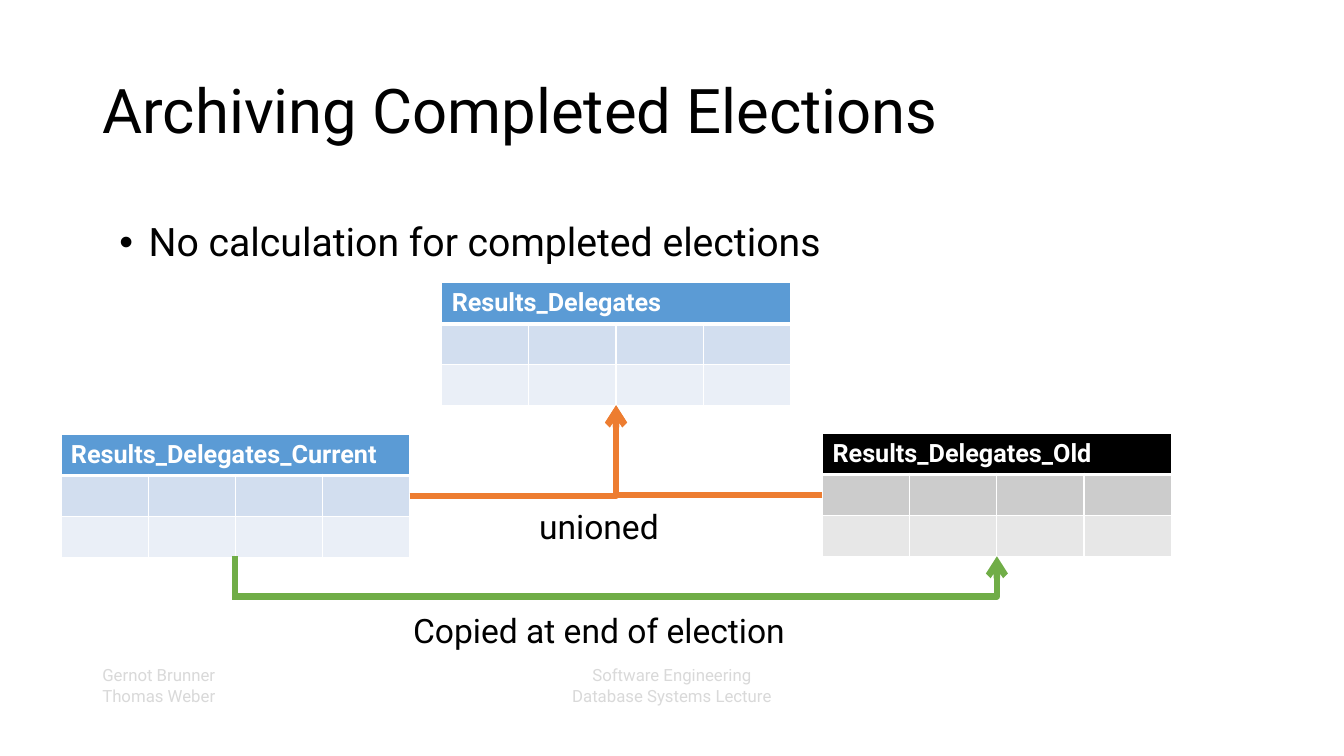
from pptx import Presentation
from pptx.dml.color import RGBColor
from pptx.enum.shapes import MSO_CONNECTOR as Link
from pptx.enum.text import MSO_ANCHOR as Anchor, MSO_AUTO_SIZE as Auto, PP_ALIGN as Align
from pptx.oxml.ns import qn
from pptx.util import Pt
from lxml.etree import SubElement as sub

# Content
TITLE = "Archiving Completed Elections"
POINT = "No calculation for completed elections"
FOOT = [
    (66, 216, Align.LEFT, ["Gernot Brunner", "Thomas Weber"]),
    (318, 324, Align.CENTER, ["Software Engineering", "Database Systems Lecture"]),
]
TABLES = [  # name, left, top, tone
    ("Results_Delegates_Current", 43.5, 310.5, "blue"),
    ("Results_Delegates_Old", 587.5, 309.8, "gray"),
    ("Results_Delegates", 315.5, 202, "blue"),
]
LABELS = [  # text, left, top, width
    ("unioned", 378, 361, 150),
    ("Copied at end of election", 288, 435, 335),
]


# Theme
class Theme:
    font = "Roboto"
    ink, white, pale = "000000", "FFFFFF", "D9D9D9"
    union, move = "ED7D31", "70AD47"
    tones = {"blue": ("5B9BD5", "D2DEEF", "EAEFF7"),
             "gray": ("000000", "CCCCCC", "E7E7E7")}
    title, body, label, head, foot = 44, 28, 24, 18, 12
    line, thin, thick = 4.5, 1, 3


COLS, ROWS, COL, ROW = 4, 3, 62.3, 29.2
WIDE, HIGH = COLS * COL, ROWS * ROW

deck = Presentation()
deck.slide_width, deck.slide_height = Pt(960), Pt(540)
slide = deck.slides.add_slide(deck.slide_layouts[1])
shapes = slide.shapes


def rgb(code):
    return RGBColor.from_string(code)


def write(frame, lines, size, color=Theme.ink, bold=False, align=Align.LEFT,
          gap=None, before=0, anchor=Anchor.TOP):
    """Fill a text frame, one paragraph for each line."""
    frame.word_wrap, frame.auto_size = True, Auto.NONE
    frame.vertical_anchor = anchor
    for i, line in enumerate(lines):
        para = frame.add_paragraph() if i else frame.paragraphs[0]
        para.alignment, para.line_spacing = align, gap
        para.space_before = Pt(before)
        run = para.add_run()
        run.text = line
        font = run.font
        font.name, font.size, font.bold = Theme.font, Pt(size), bold
        font.color.rgb = rgb(color)


def place(shape, left, top, width, height):
    shape.left, shape.top = Pt(left), Pt(top)
    shape.width, shape.height = Pt(width), Pt(height)


def paint(cell, color, base):
    """Set a cell's fill and white borders."""
    props = cell._tc.get_or_add_tcPr()
    for side in ("lnL", "lnR", "lnT", "lnB"):
        size = base if side == "lnB" else Theme.thin
        edge = sub(props, qn("a:" + side), w=str(Pt(size)))
        sub(sub(edge, qn("a:solidFill")), qn("a:srgbClr"), val=Theme.white)
    cell.fill.solid()
    cell.fill.fore_color.rgb = rgb(color)


def grid(name, left, top, tone):
    """Draw a table with one merged heading."""
    table = shapes.add_table(ROWS, COLS, Pt(left), Pt(top), Pt(WIDE), Pt(HIGH)).table
    for col in table.columns:
        col.width = Pt(COL)
    for r, color in enumerate(Theme.tones[tone]):
        table.rows[r].height = Pt(ROW)
        for cell in table.rows[r].cells:
            paint(cell, color, Theme.thin if r else Theme.thick)
    head = table.cell(0, 0)
    head.merge(table.cell(0, COLS - 1))
    write(head.text_frame, [name], Theme.head, Theme.white, bold=True)


def link(start, end, color, bent=True):
    """Draw a plain line, or a one-corner arrow."""
    kind = Link.ELBOW if bent else Link.STRAIGHT
    wire = shapes.add_connector(kind, *map(Pt, start + end))
    wire.line.color.rgb, wire.line.width = rgb(color), Pt(Theme.line)
    props = wire._element.spPr
    if bent:
        props.find(qn("a:prstGeom")).set("prst", "bentConnector2")
        sub(wire.line._get_or_add_ln(), qn("a:tailEnd"), type="arrow")
    sub(props, qn("a:effectLst"))


# Footer
for left, width, align, lines in FOOT:
    box = shapes.add_textbox(Pt(left), Pt(471.6), Pt(width), Pt(36))
    write(box.text_frame, lines, Theme.foot, Theme.pale, align=align)

# Title and list
title, body = slide.placeholders
place(title, 66, 28.8, 828, 104.4)
write(title.text_frame, [TITLE], Theme.title, gap=0.9, anchor=Anchor.MIDDLE)
place(body, 78, 155.5, 811, 313)
write(body.text_frame, [POINT], Theme.body, gap=0.9, before=5)
props = body.text_frame.paragraphs[0]._p.get_or_add_pPr()
props.set("marL", str(Pt(21)))
props.set("indent", str(-Pt(21)))
sub(props, qn("a:buFont"), typeface="Arial")
sub(props, qn("a:buChar"), char="•")

# Tables
for item in TABLES:
    grid(*item)

# Arrows
(_, now_x, now_y, _), (_, old_x, old_y, _), (_, all_x, all_y, _) = TABLES
goal = (all_x + WIDE / 2, all_y + HIGH)
link((now_x + WIDE, now_y + HIGH / 2), goal, Theme.union)
link((old_x, old_y + HIGH / 2), goal, Theme.union)
mid, base, drop = now_x + WIDE / 2, old_y + HIGH, 28.8
link((mid, base + drop), (old_x + WIDE / 2, base), Theme.move)
link((mid, base), (mid, base + drop + Theme.line / 2), Theme.move, bent=False)

# Labels
for text, left, top, width in LABELS:
    box = shapes.add_textbox(Pt(left), Pt(top), Pt(width), Pt(40))
    write(box.text_frame, [text], Theme.label, gap=0.9, before=5)

deck.save("out.pptx")
